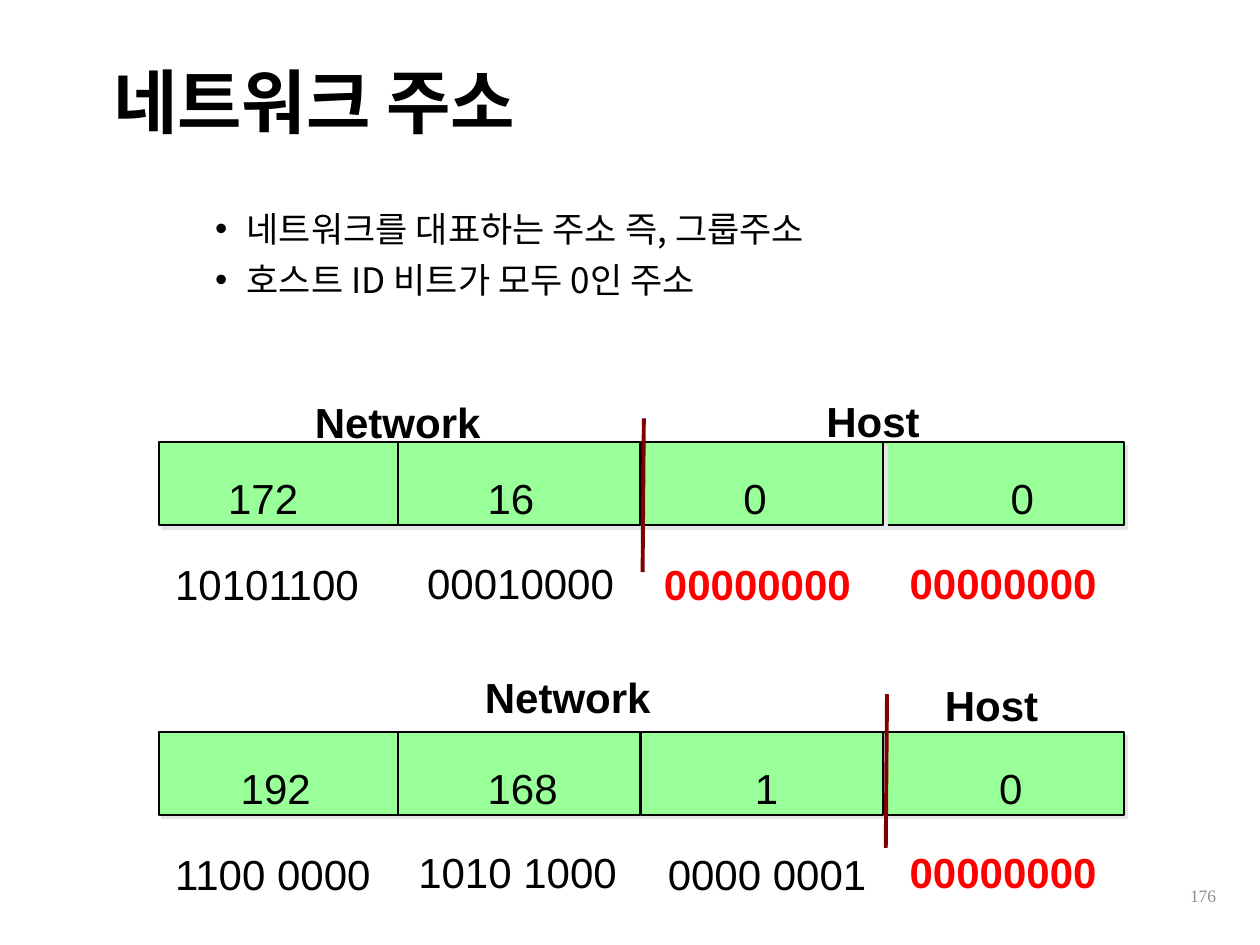
from dataclasses import dataclass

from lxml import etree
from pptx import Presentation
from pptx.dml.color import RGBColor
from pptx.enum.shapes import MSO_CONNECTOR, MSO_SHAPE
from pptx.enum.text import MSO_ANCHOR, PP_ALIGN
from pptx.oxml.ns import qn
from pptx.util import Inches, Pt

RECTANGLE = MSO_SHAPE.RECTANGLE
STRAIGHT = MSO_CONNECTOR.STRAIGHT
TOP, MIDDLE = MSO_ANCHOR.TOP, MSO_ANCHOR.MIDDLE
LEFT, RIGHT = PP_ALIGN.LEFT, PP_ALIGN.RIGHT


@dataclass(frozen=True)
class Theme:
    korean: str = "Noto Sans CJK KR"
    latin: str = "Arial"
    serif: str = "Times New Roman"
    black: str = "000000"
    red: str = "FF0000"
    gray: str = "8C8C8C"
    cell: str = "99FF99"
    shadow: str = "E7E6E6"
    divider: str = "800000"
    title: int = 40
    body: int = 20
    address: int = 24
    number: int = 10
    octet_spacing: float = 48.4


THEME = Theme()
CELL_LEFTS = (7.0, 1.26, 3.16, 5.09)  # the last octet lies behind the others
CELL_WIDTH, CELL_HEIGHT = 1.92, 0.66


def add_box(page, left, top, width, height, anchor=TOP, insets=(0.1, 0.05)):
    box = page.shapes.add_textbox(*map(Inches, (left, top, width, height)))
    frame = box.text_frame
    frame.word_wrap = True
    frame.vertical_anchor = anchor
    frame.margin_left = frame.margin_right = Inches(insets[0])
    frame.margin_top = frame.margin_bottom = Inches(insets[1])
    return frame


def add_span(para, text, size, font, color=THEME.black, bold=False):
    span = para.add_run()
    span.text = text
    span.font.size = Pt(size)
    span.font.name = font
    span.font.bold = bold
    span.font.color.rgb = RGBColor.from_string(color)
    if font == THEME.korean:
        east_asian = etree.SubElement(span.font._element, qn("a:ea"))
        east_asian.set("typeface", font)


def add_title(page, text):
    para = add_box(page, 0.8, 0.39, 8.62, 0.9, MIDDLE).paragraphs[0]
    para.line_spacing = 0.9
    add_span(para, text, THEME.title, THEME.korean, bold=True)


def add_bullets(page, lines):
    frame = add_box(page, 1.11, 1.6, 8.89, 5.22)
    for index, line in enumerate(lines):
        para = frame.paragraphs[0] if index == 0 else frame.add_paragraph()
        properties = para._p.get_or_add_pPr()
        properties.set("marL", str(Inches(0.75)))
        properties.set("indent", str(Inches(-0.25)))
        etree.SubElement(properties, qn("a:buFont")).set("typeface", THEME.latin)
        etree.SubElement(properties, qn("a:buChar")).set("char", "•")
        para.line_spacing = 1.0
        para.space_before = Pt(5 if index else 0)
        add_span(para, line, THEME.body, THEME.korean)


def add_cell(page, left, top):
    cell = page.shapes.add_shape(
        RECTANGLE, *map(Inches, (left, top, CELL_WIDTH, CELL_HEIGHT)))
    cell.fill.solid()
    cell.fill.fore_color.rgb = RGBColor.from_string(THEME.cell)
    cell.line.color.rgb = RGBColor.from_string(THEME.black)
    cell.line.width = Pt(1)
    cell.shadow.inherit = False
    effects = cell._element.spPr.find(qn("a:effectLst"))
    shadow = etree.SubElement(effects, qn("a:outerShdw"), dist=str(Pt(2.8)),
                              dir=str(45 * 60000), algn="ctr", rotWithShape="0")
    etree.SubElement(shadow, qn("a:srgbClr"), val=THEME.shadow)


def add_octets(page, top, octets, stops):
    """Write the decimal octets on one line, each at its own tab stop."""
    para = add_box(page, 1.67, top, 7.51, 0.91, insets=(0.05, 0.08)).paragraphs[0]
    tabs = etree.SubElement(para._p.get_or_add_pPr(), qn("a:tabLst"))
    for stop in stops:
        etree.SubElement(tabs, qn("a:tab"), pos=str(Inches(stop)), algn="l")
    para.line_spacing = Pt(THEME.octet_spacing)
    add_span(para, "".join("\t" + octet for octet in octets),
             THEME.address, THEME.latin)


def add_bits(page, left, top, bits, is_host):
    para = add_box(page, left, top, 2.03, 0.83, insets=(0.14, 0.08)).paragraphs[0]
    para.line_spacing = Pt(THEME.octet_spacing)
    add_span(para, bits, THEME.address, THEME.latin,
             THEME.red if is_host else THEME.black, is_host)


def add_label(page, text, left, top, width):
    para = add_box(page, left, top, width, 0.5, MIDDLE).paragraphs[0]
    add_span(para, text, THEME.address, THEME.latin, bold=True)


def add_divider(page, left, top):
    line = page.shapes.add_connector(
        STRAIGHT, *map(Inches, (left, top, left - 0.01, top + 1.22)))
    line.line.color.rgb = RGBColor.from_string(THEME.divider)
    line.line.width = Pt(2.25)
    etree.SubElement(line._element.spPr, qn("a:effectLst"))


def add_address(page, top, octets, stops, bits, bit_lefts, network_count,
                network_at, host_at, divider_left):
    """Draw one address: cells, decimal and binary octets, and its two parts."""
    for left in CELL_LEFTS:
        add_cell(page, left, top)
    add_octets(page, top - 0.11, octets, stops)
    for index, (left, value) in enumerate(zip(bit_lefts, bits)):
        bits_top = top + (0.56 if index % 2 else 0.57)
        add_bits(page, left, bits_top, value, index >= network_count)
    add_label(page, "Network", *network_at, 1.53)
    add_label(page, "Host", *host_at, 0.95)
    add_divider(page, divider_left, top - (0.19 if network_count == 2 else 0.3))


def add_page_number(page, number):
    para = add_box(page, 7.5, 6.91, 2.25, 0.4, MIDDLE).paragraphs[0]
    para.alignment = RIGHT
    add_span(para, number, THEME.number, THEME.serif, THEME.gray)


def main():
    deck = Presentation()
    deck.slide_width, deck.slide_height = Inches(10), Inches(7.5)
    page = deck.slides.add_slide(deck.slide_layouts[6])
    add_title(page, "네트워크 주소")
    add_bullets(page, ("네트워크를 대표하는 주소 즉, 그룹주소",
                       "호스트 ID 비트가 모두 0인 주소"))
    add_address(page, 3.51, ("172", "16", "0", "0"), (0.09, 2.15, 4.18, 6.3),
                ("10101100", "00010000", "00000000", "00000000"),
                (1.25, 3.25, 5.13, 7.08), 2, (2.4, 3.1), (6.46, 3.09), 5.11)
    add_address(page, 5.81, ("192", "168", "1", "0"), (0.19, 2.15, 4.27, 6.21),
                ("1100 0000", "1010 1000", "0000 0001", "00000000"),
                (1.25, 3.18, 5.16, 7.08), 3, (3.75, 5.28), (7.4, 5.34), 7.04)
    add_page_number(page, "176")
    deck.save("out.pptx")


if __name__ == "__main__":
    main()
